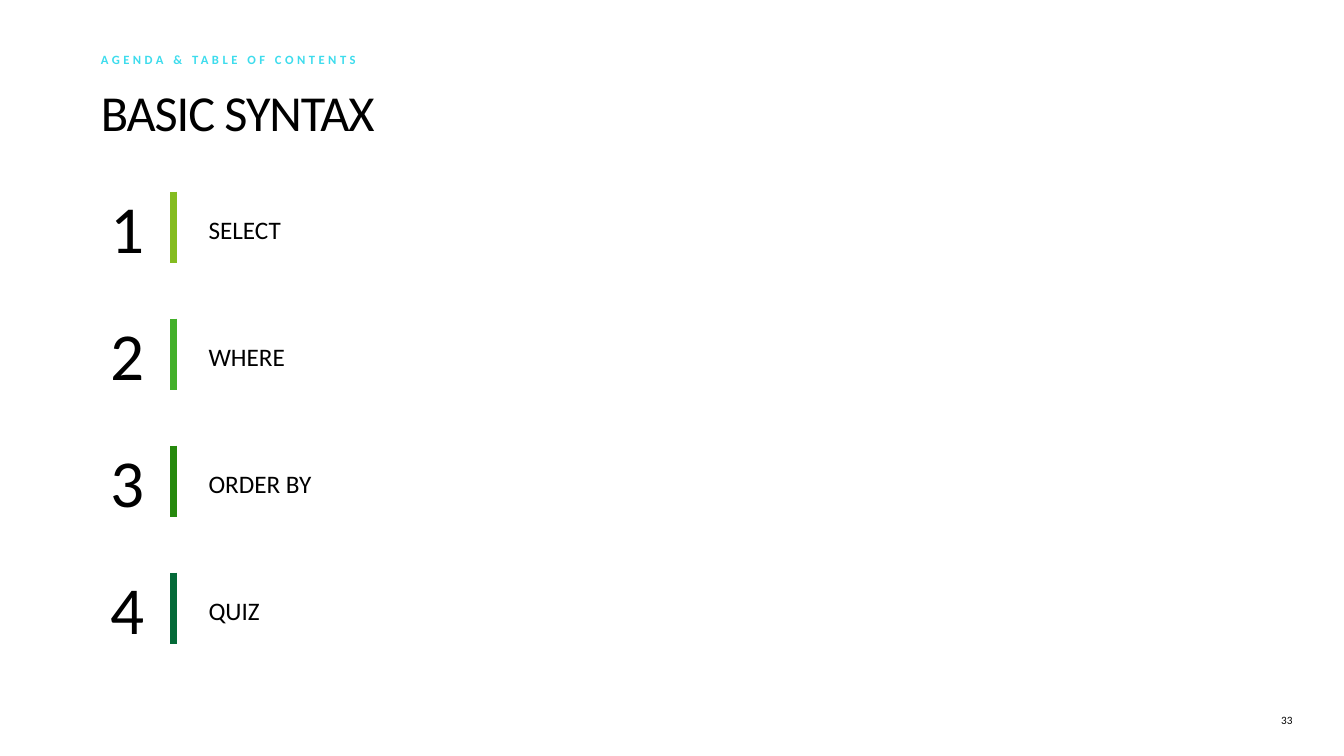
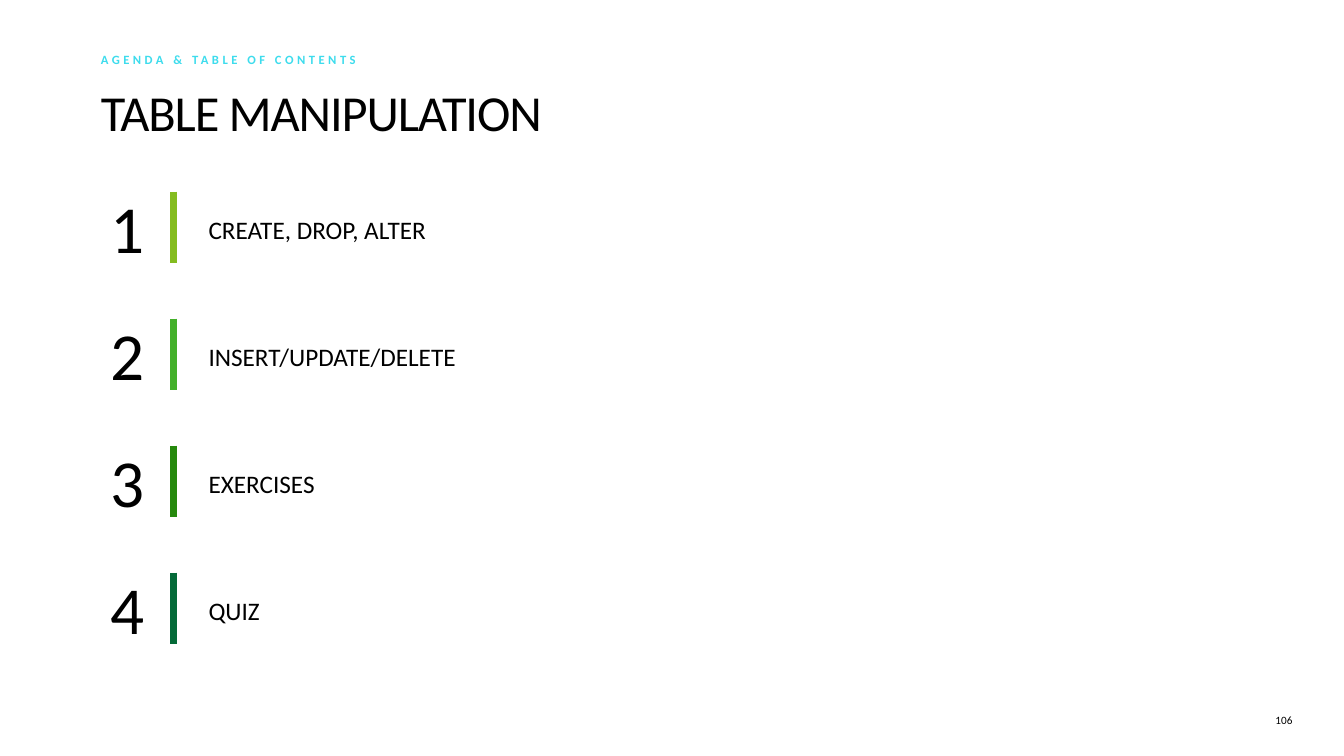
from dataclasses import dataclass

from lxml.etree import SubElement
from pptx import Presentation
from pptx.dml.color import RGBColor
from pptx.enum.shapes import MSO_CONNECTOR
from pptx.enum.text import MSO_ANCHOR, MSO_AUTO_SIZE, PP_ALIGN
from pptx.oxml.ns import qn
from pptx.shapes.base import BaseShape
from pptx.shapes.group import GroupShape
from pptx.slide import Slide
from pptx.util import Inches, Pt


@dataclass(frozen=True)
class Theme:
    """Colours, font and type sizes shared by the slides."""

    font: str = "Calibri"
    text: str = "000000"
    accent: str = "3DDCED"
    bars: tuple[str, ...] = ("84BC20", "43B02A", "26890D", "046A38")
    title_size: float = 36
    kicker_size: float = 9
    number_size: float = 48
    label_size: float = 18
    footer_size: float = 8
    bar_width: float = 5


@dataclass(frozen=True)
class Agenda:
    """Content of one agenda slide."""

    title: str
    topics: tuple[str, ...]
    page: int


@dataclass(frozen=True)
class Box:
    """A rectangle in inches."""

    left: float
    top: float
    width: float
    height: float


THEME = Theme()
KICKER = "AGENDA & TABLE OF CONTENTS"
TITLE_BOX = Box(1, 0.76, 11.33, 0.65)
KICKER_BOX = Box(1, 0.51, 3.67, 0.22)
PAGE_BOX = Box(12.48, 7.08, 0.34, 0.13)
FIRST_ROW_TOP = 1.8
ROW_PITCH = 1.26
BAR_LEFT = 1.72
BAR_INSET = 0.1
BAR_HEIGHT = 0.71

AGENDAS = (
    Agenda("BASIC SYNTAX", ("SELECT", "WHERE", "ORDER BY", "QUIZ"), 33),
    Agenda(
        "TABLE MANIPULATION",
        ("CREATE, DROP, ALTER", "INSERT/UPDATE/DELETE", "EXERCISES", "QUIZ"),
        106,
    ),
)


def place(shape: BaseShape, box: Box) -> None:
    """Move and size a shape to fill a box."""
    shape.left, shape.top = Inches(box.left), Inches(box.top)
    shape.width, shape.height = Inches(box.width), Inches(box.height)


def write(
    shape: BaseShape,
    text: str,
    size: float,
    color: str = THEME.text,
    bold: bool = False,
    align: PP_ALIGN = PP_ALIGN.LEFT,
    anchor: MSO_ANCHOR = MSO_ANCHOR.TOP,
    spacing: float = 0,
) -> None:
    """Write one formatted paragraph, with letter spacing in points."""
    frame = shape.text_frame
    frame.word_wrap = True
    frame.auto_size = MSO_AUTO_SIZE.NONE
    frame.vertical_anchor = anchor
    paragraph = frame.paragraphs[0]
    run = paragraph.add_run()
    run.text = text
    if spacing:
        run._r.get_or_add_rPr().set("spc", str(round(spacing * 100)))
    paragraph.alignment = align
    paragraph.space_before = Pt(0)
    if shape.is_placeholder:
        properties = paragraph._p.get_or_add_pPr()
        properties.set("marL", "0")
        properties.set("indent", "0")
        SubElement(properties, qn("a:buNone"))
    font = paragraph.font
    font.name, font.size, font.bold = THEME.font, Pt(size), bold
    font.color.rgb = RGBColor.from_string(color)


def set_margins(shape: BaseShape, top: float = 0) -> None:
    """Clear the text margins, except for an optional top one."""
    frame = shape.text_frame
    frame.margin_left = frame.margin_right = frame.margin_bottom = 0
    frame.margin_top = Inches(top)


def add_text(parent: Slide | GroupShape, box: Box, text: str, size: float,
             align: PP_ALIGN = PP_ALIGN.LEFT) -> BaseShape:
    """Add a text box to a slide or group."""
    shape = parent.shapes.add_textbox(
        Inches(box.left), Inches(box.top), Inches(box.width), Inches(box.height)
    )
    write(shape, text, size, align=align)
    return shape


def add_bar(group: GroupShape, top: float, color: str) -> None:
    """Add the vertical rule between a number and its topic."""
    bar = group.shapes.add_connector(
        MSO_CONNECTOR.STRAIGHT,
        Inches(BAR_LEFT), Inches(top), Inches(BAR_LEFT), Inches(top + BAR_HEIGHT),
    )
    bar.line.width = Pt(THEME.bar_width)
    bar.line.color.rgb = RGBColor.from_string(color)
    SubElement(bar._element.spPr, qn("a:effectLst"))


def add_topic(slide: Slide, index: int, topic: str) -> None:
    """Add one numbered agenda row."""
    top = FIRST_ROW_TOP + index * ROW_PITCH
    group = slide.shapes.add_group_shape()
    add_text(group, Box(1, top, 0.6, 0.91), str(index + 1), THEME.number_size)
    add_text(group, Box(1.97, top + 0.28, 3, 0.4), topic, THEME.label_size)
    add_bar(group, top + BAR_INSET, THEME.bars[index])


def add_frame(slide: Slide, agenda: Agenda) -> None:
    """Fill the title, kicker and page number of a slide."""
    title, kicker = slide.shapes.title, slide.placeholders[1]
    place(title, TITLE_BOX)
    set_margins(title, top=0.05)
    write(title, agenda.title, THEME.title_size,
          anchor=MSO_ANCHOR.BOTTOM, spacing=-0.8)
    place(kicker, KICKER_BOX)
    set_margins(kicker)
    write(kicker, KICKER, THEME.kicker_size, THEME.accent, bold=True, spacing=2.5)
    page = add_text(slide, PAGE_BOX, str(agenda.page), THEME.footer_size,
                    PP_ALIGN.RIGHT)
    set_margins(page)


def main() -> None:
    """Build the agenda slides and save them."""
    presentation = Presentation()
    presentation.slide_width = Inches(13.33)
    presentation.slide_height = Inches(7.5)
    for agenda in AGENDAS:
        slide = presentation.slides.add_slide(presentation.slide_layouts[1])
        add_frame(slide, agenda)
        for index, topic in enumerate(agenda.topics):
            add_topic(slide, index, topic)
    presentation.save("out.pptx")


if __name__ == "__main__":
    main()
